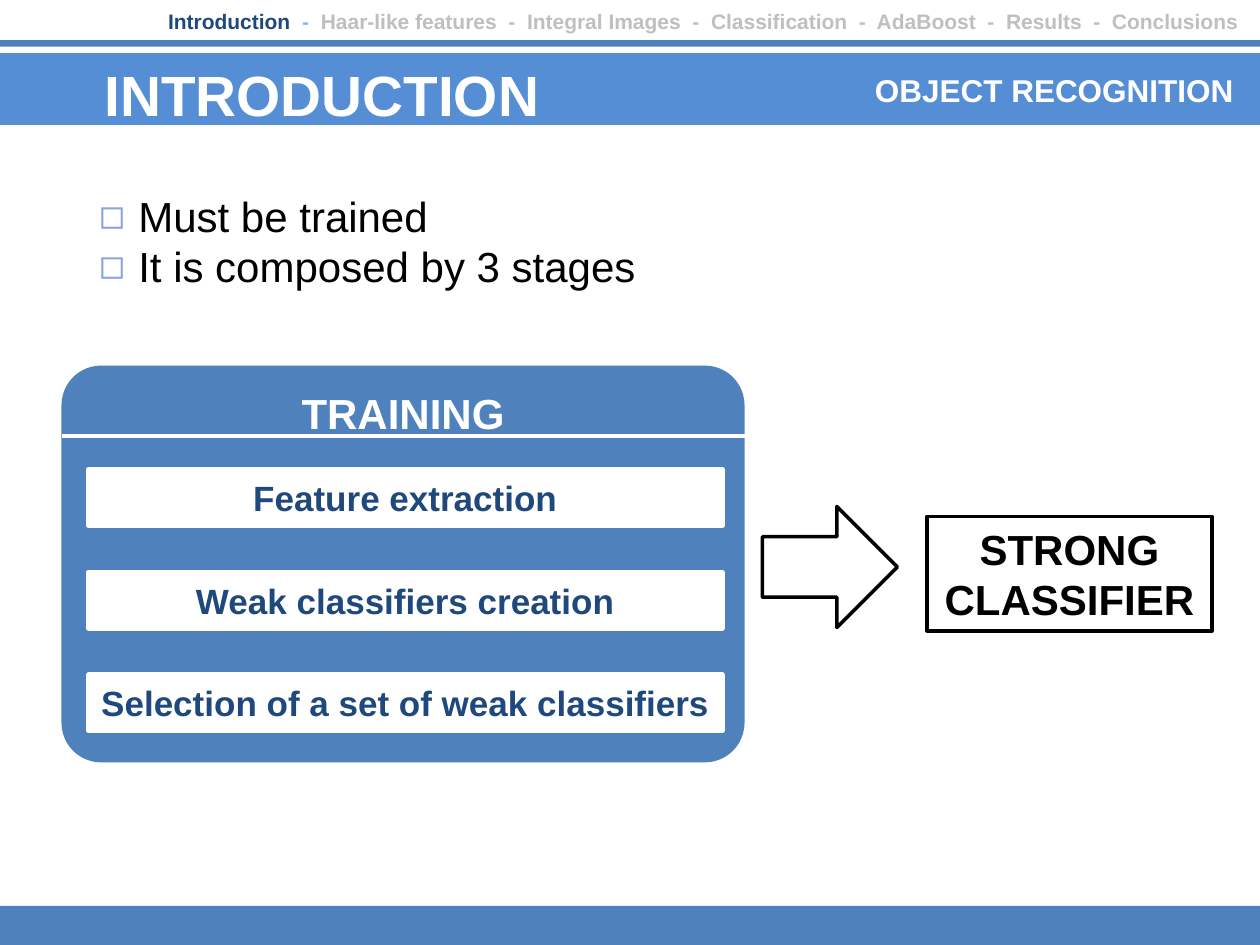
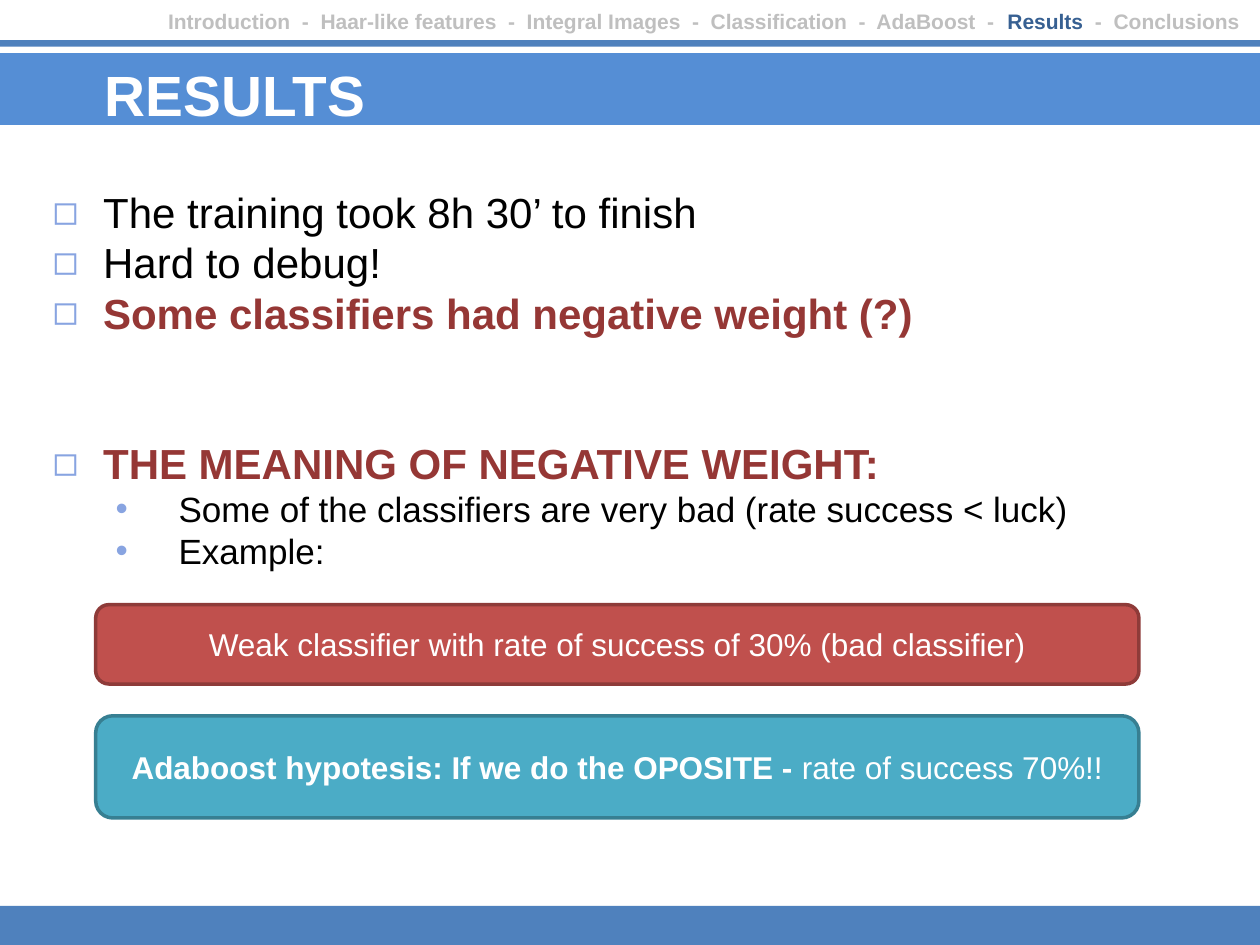
import pptx
import pptx.dml.color
import pptx.enum.shapes
import pptx.enum.text
import pptx.oxml.ns
import lxml.etree
from pptx.util import Cm, Pt

FONT = "Arial"
WHITE, BLACK = "FFFFFF", "000000"
BLUE, BAND, NAVY = "4F81BD", "558ED5", "1F497D"
GREY, MAROON, BULLET = "BFBFBF", "953735", "88A4E1"
SLIDE_WIDTH, SLIDE_HEIGHT = 25.4, 19.05
SECTIONS = ["Introduction", "Haar-like features", "Integral Images", "Classification",
            "AdaBoost", "Results", "Conclusions"]
SEPARATOR = "  -  "
SHAPE = pptx.enum.shapes.MSO_SHAPE
ALIGN = pptx.enum.text.PP_ALIGN
ANCHOR = pptx.enum.text.MSO_ANCHOR


def colour(hex_code):
    """Turn a hex string into a colour."""
    return pptx.dml.color.RGBColor.from_string(hex_code)


def write(frame, paragraphs, size=18, fill=BLACK, bold=False, align=ALIGN.CENTER,
          anchor=ANCHOR.MIDDLE, margins=(0.25, 0.13, 0.25, 0.13), wrap=True):
    """Fill a text frame; a paragraph is a string or a list of (text, overrides)."""
    frame.auto_size = pptx.enum.text.MSO_AUTO_SIZE.NONE
    frame.word_wrap = wrap
    frame.vertical_anchor = anchor
    (frame.margin_left, frame.margin_top,
     frame.margin_right, frame.margin_bottom) = map(Cm, margins)
    for index, content in enumerate(paragraphs):
        paragraph = frame.paragraphs[0] if index == 0 else frame.add_paragraph()
        paragraph.alignment = align
        pieces = [(content, {})] if isinstance(content, str) else content
        for text, overrides in pieces:
            style = {"size": size, "fill": fill, "bold": bold, **overrides}
            run = paragraph.add_run()
            run.text = text
            run.font.name = FONT
            run.font.size = Pt(style["size"])
            run.font.bold = style["bold"]
            run.font.color.rgb = colour(style["fill"])


def add_block(slide, box, fill, kind=SHAPE.RECTANGLE, line=None, line_width=2):
    """Add a flat preset shape."""
    block = slide.shapes.add_shape(kind, *map(Cm, box))
    block.shadow.inherit = False
    block.fill.solid()
    block.fill.fore_color.rgb = colour(fill)
    if line:
        block.line.color.rgb = colour(line)
        block.line.width = Pt(line_width)
    else:
        block.line.fill.background()
    return block


def add_text(slide, box, paragraphs, **style):
    """Add a text box and return its frame."""
    frame = slide.shapes.add_textbox(*map(Cm, box)).text_frame
    write(frame, paragraphs, **style)
    return frame


def set_bullet(paragraph, mark, text_indent, hanging):
    """Give a paragraph a coloured bullet and a hanging indent."""
    qn = pptx.oxml.ns.qn
    properties = paragraph._p.get_or_add_pPr()
    properties.set("marL", str(Cm(text_indent)))
    properties.set("indent", str(-Cm(hanging)))
    tint = lxml.etree.SubElement(properties, qn("a:buClr"))
    lxml.etree.SubElement(tint, qn("a:srgbClr"), val=BULLET)
    lxml.etree.SubElement(properties, qn("a:buFont"), typeface=FONT)
    lxml.etree.SubElement(properties, qn("a:buChar"), char=mark)


def add_bullets(slide, box, points, details=(), indent=1.02, hanging=1.02):
    """Add main points, followed by smaller detail points."""
    smaller = [[(detail, {"size": 20})] for detail in details]
    frame = add_text(slide, box, [*points, *smaller], size=24,
                     align=ALIGN.JUSTIFY, anchor=ANCHOR.TOP)
    for index, paragraph in enumerate(frame.paragraphs):
        if index < len(points):
            set_bullet(paragraph, "◻", indent, hanging)
        else:
            paragraph.level = 1
            set_bullet(paragraph, "•", 2.54, 1.27)


def add_navigation(slide, box, current, current_fill, dash_fill):
    """Add the section trail with the current section picked out."""
    position = SECTIONS.index(current)
    before = "".join(section + SEPARATOR for section in SECTIONS[:position])
    after = SEPARATOR.join(SECTIONS[position + 1:])
    trail = [(before, {}), (current + "  ", {"fill": current_fill}),
             ("-  ", {"fill": dash_fill}), (after, {})]
    add_text(slide, box, [[piece for piece in trail if piece[0]]], size=12, fill=GREY,
             bold=True, align=ALIGN.RIGHT, anchor=ANCHOR.TOP, margins=(0.25, 0.17, 0.25, 0))


def add_section_slide(deck, current, current_fill, dash_fill=GREY):
    """Add a slide with the shared title band, bars and section trail."""
    slide = deck.slides.add_slide(deck.slide_layouts[5])
    title = slide.shapes.title
    title.left, title.top, title.width, title.height = map(Cm, (0, 1.07, SLIDE_WIDTH, 1.45))
    title.fill.solid()
    title.fill.fore_color.rgb = colour(BAND)
    write(title.text_frame, [current.upper()], size=32.4, fill=WHITE, bold=True,
          align=ALIGN.LEFT, margins=(2.11, 0.18, 0.25, 0))
    add_block(slide, (0, 0.81, SLIDE_WIDTH, 0.13), BLUE)
    add_block(slide, (0, 18.26, SLIDE_WIDTH, SLIDE_HEIGHT - 18.26), BLUE)
    add_navigation(slide, (0.2, 0, 25.04, 0.81), current, current_fill, dash_fill)
    return slide


def add_training_panel(slide, box, stages):
    """Add the training panel with its heading, divider and stages."""
    left, top, width, height = box
    panel = add_block(slide, box, BLUE, SHAPE.ROUNDED_RECTANGLE)
    panel.adjustments[0] = 0.1
    write(panel.text_frame, ["TRAINING"], size=24, fill=WHITE, bold=True,
          anchor=ANCHOR.TOP, margins=(0.25, 0.2, 0.25, 0.13))
    divider = slide.shapes.add_connector(
        pptx.enum.shapes.MSO_CONNECTOR.STRAIGHT,
        *map(Cm, (left, top + 1.42, left + width, top + 1.42)))
    divider.line.color.rgb = colour(WHITE)
    divider.line.width = Pt(2.25)
    lxml.etree.SubElement(divider._element.spPr, pptx.oxml.ns.qn("a:effectLst"))
    for index, name in enumerate(stages):
        stage_box = (left + 0.54, top + 2.1 + index * 2.07, 12.78, 1.12)
        stage = add_block(slide, stage_box, WHITE, line=WHITE, line_width=3)
        write(stage.text_frame, [name], size=20, fill=NAVY, bold=True,
              margins=(0.1, 0.13, 0.1, 0.13))


def add_outcome(slide, box):
    """Add the arrow and the classifier that training leads to."""
    left, top, width, height = box
    add_block(slide, (left, top, 2.72, 2.44), WHITE, SHAPE.RIGHT_ARROW, BLACK)
    classifier = add_block(slide, (left + 3.32, top + 0.2, width - 3.32, height - 0.2),
                           WHITE, line=BLACK)
    write(classifier.text_frame, ["STRONG", "CLASSIFIER"], size=24, bold=True,
          margins=(0.1, 0.13, 0.1, 0.13))


def add_example(slide, box):
    """Add the bad classifier and the hypothesis that inverts it."""
    left, top, width, height = box
    cases = [
        (0, 1.6, "C0504D", "8E3B39",
         "Weak classifier with rate of success of 30% (bad classifier)"),
        (height - 2.06, 2.06, "4BACC6", "377F92",
         [("Adaboost hypotesis: If we do the OPOSITE - ", {"bold": True}),
          ("rate of success 70%!!", {})]),
    ]
    for offset, case_height, fill, line, text in cases:
        case = add_block(slide, (left, top + offset, width, case_height), fill,
                         SHAPE.ROUNDED_RECTANGLE, line)
        write(case.text_frame, [text], fill=WHITE)


def build_introduction(deck):
    """Build the slide on how recognition is trained."""
    slide = add_section_slide(deck, "Introduction", NAVY, "8EB4E3")
    add_text(slide, (17.3, 1.3, 7.82, 1.02), ["OBJECT RECOGNITION"], fill=WHITE,
             bold=True, align=ALIGN.RIGHT)
    add_bullets(slide, (1.75, 3.71, 22.5, 2.31),
                ["Must be trained", "It is composed by 3 stages"], indent=0.79, hanging=0.79)
    add_training_panel(slide, (1.24, 7.37, 13.77, 8),
                       ["Feature extraction", "Weak classifiers creation",
                        "Selection of a set of weak classifiers"])
    add_outcome(slide, (15.37, 10.21, 9.06, 2.51))


def build_results(deck):
    """Build the slide on training results and negative weights."""
    slide = add_section_slide(deck, "Results", "376092")
    warning = {"fill": MAROON, "bold": True}
    add_bullets(slide, (0.81, 3.63, 23.27, 4.45),
                ["The training took 8h 30’ to finish", "Hard to debug!",
                 [("Some classifiers had negative weight (?)", warning)]])
    add_bullets(slide, (0.81, 8.69, 23.27, 3),
                [[("THE MEANING OF NEGATIVE WEIGHT:", warning)]],
                ["Some of the classifiers are very bad (rate success < luck)", "Example:"])
    add_example(slide, (1.93, 12.19, 21.03, 4.3))


def main():
    """Build and save the presentation."""
    deck = pptx.Presentation()
    deck.slide_width, deck.slide_height = Cm(SLIDE_WIDTH), Cm(SLIDE_HEIGHT)
    build_introduction(deck)
    build_results(deck)
    deck.save("out.pptx")


if __name__ == "__main__":
    main()
